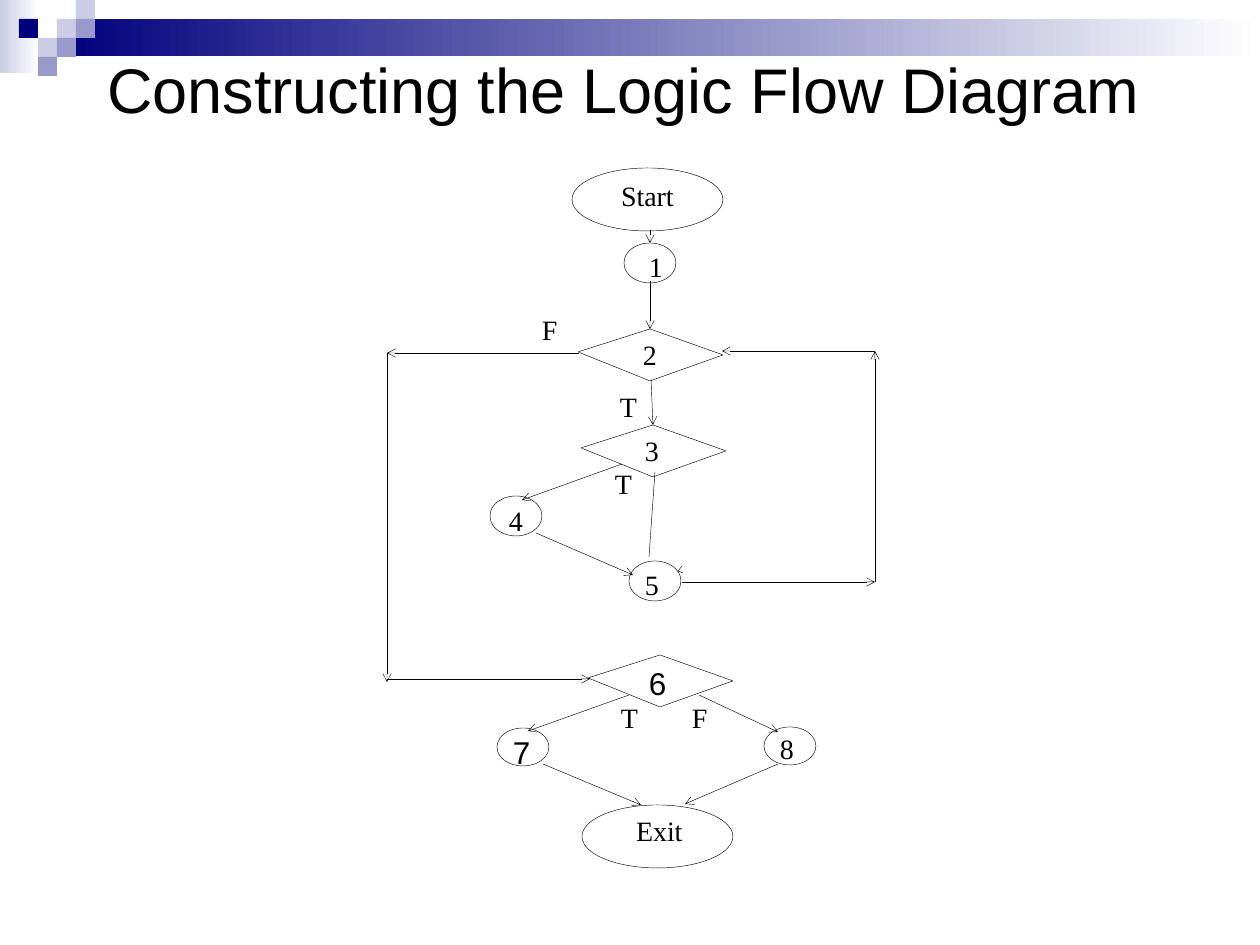
from pptx import Presentation
from pptx.dml.color import RGBColor as RGB
from pptx.enum.shapes import MSO_CONNECTOR as Conn, MSO_SHAPE as Shape
from pptx.enum.text import MSO_ANCHOR as Anchor, MSO_AUTO_SIZE as Fit, PP_ALIGN as Align
from pptx.oxml.ns import qn
from pptx.util import Emu, Pt
from lxml.etree import SubElement as Sub


class Theme:
    ink, paper = RGB(0, 0, 0), RGB(255, 255, 255)
    navy, mid, pale = RGB(0, 0, 0x7D), RGB(0x99, 0x99, 0xCC), RGB(0xCC, 0xCC, 0xE6)
    sans, serif = "Arial", "Times New Roman"
    title, large, small, hair = Pt(36), Pt(18), Pt(16), Pt(0.25)


# Content, in px (126 to the inch)
TITLE = "Constructing the Logic Flow Diagram"
FADES = [(0, 0, 39, 73, Theme.pale), (57, 19, 1203, 37, Theme.navy)]
TILE = 19
TILES = [  # column, row, colour
    (3, 1, Theme.pale), (4, 0, Theme.pale), (4, 1, Theme.mid), (2, 2, Theme.pale),
    (1, 1, Theme.navy), (3, 2, Theme.mid), (2, 3, Theme.mid),
]
OVALS = [  # left, top, width, height
    (572, 168, 151, 63), (624, 243, 52, 40), (490, 496, 52, 40), (629, 561, 52, 40),
    (497, 728, 52, 38), (764, 727, 52, 38), (582, 805, 151, 63),
]
TESTS = [(578, 329), (581, 425), (588, 655)]  # left, top of each decision
KITE = [(72, 0), (0, 23), (72, 52), (145, 26)]
ARROWS = [  # from, to
    (650, 230, 650, 243), (650, 281, 650, 329),              # start, 1, 2
    (651, 379, 653, 425),                                    # 2 to 3
    (682, 582, 875, 582), (875, 582, 875, 351), (875, 351, 722, 351),  # 5 back to 2
    (622, 464, 522, 500), (536, 533, 633, 575),              # 3, 4, 5
    (629, 695, 528, 731), (699, 695, 778, 732),              # 6 to 7 and 8
    (543, 764, 641, 805), (778, 764, 685, 804),              # 7 and 8 to exit
    (579, 353, 387, 353), (387, 353, 387, 682), (387, 679, 590, 679),  # 2 to 6
]
PLAIN = [(655, 472, 649, 557)]                               # 3 to 5
TIP = [(683, 573), (678, 571), (682, 566)]                   # loose tip beside 5
SERIF_TEXT = [
    ("Start", 621, 179), ("1", 649, 249), ("2", 643, 338), ("3", 645, 434),
    ("4", 509, 504), ("5", 645, 568), ("8", 780, 732), ("Exit", 636, 814),
    ("F", 542, 312), ("T", 615, 467), ("T", 621, 701), ("F", 692, 701), ("T", 620, 390),
]
SANS_TEXT = [("6", 649, 664), ("7", 513, 733)]


def px(n):
    return Emu(round(n * 914400 / 126))


def write(frame, text, font, size):
    run = frame.paragraphs[0].add_run()
    run.text = text
    run.font.name, run.font.size = font, size
    run.font.color.rgb = Theme.ink


def block(kind, *box):
    part = shapes.add_shape(kind, *map(px, box))
    part.shadow.inherit = False
    return part


def outline(part):
    part.shadow.inherit = False
    part.fill.solid()
    part.fill.fore_color.rgb = Theme.paper
    part.line.color.rgb = Theme.ink
    part.line.width = Theme.hair


def path(points, close=True):
    pen = shapes.build_freeform(px(points[0][0]), px(points[0][1]))
    pen.add_line_segments([(px(x), px(y)) for x, y in points[1:]], close=close)
    part = pen.convert_to_shape()
    outline(part)
    return part


def link(ends, head):
    wire = shapes.add_connector(Conn.STRAIGHT, *map(px, ends))
    wire.line.color.rgb = Theme.ink
    wire.line.width = Theme.hair
    if head:
        Sub(wire.line._get_or_add_ln(), qn("a:tailEnd"), type="arrow", w="sm", len="sm")
    Sub(wire._element.spPr, qn("a:effectLst"))


def label(text, left, top, font, size):
    box = shapes.add_textbox(px(left), px(top), px(14 * len(text)), px(34))
    frame = box.text_frame
    frame.margin_left = frame.margin_right = frame.margin_top = frame.margin_bottom = 0
    frame.word_wrap = False
    frame.auto_size = Fit.SHAPE_TO_FIT_TEXT
    frame.paragraphs[0].alignment = Align.LEFT
    write(frame, text, font, size)


deck = Presentation()
deck.slide_width, deck.slide_height = px(1260), px(945)
slide = deck.slides.add_slide(deck.slide_layouts[5])
shapes = slide.shapes

# Title
head = shapes.title
head.left, head.top, head.width, head.height = map(px, (88, 10, 1071, 157))
head.text_frame.vertical_anchor = Anchor.MIDDLE
head.text_frame.paragraphs[0].alignment = Align.CENTER
write(head.text_frame, TITLE, Theme.sans, Theme.title)

# Banner
for *box, tint in FADES:
    fade = block(Shape.RECTANGLE, *box)
    fade.fill.gradient()
    fade.fill.gradient_angle = 0
    for stop, shade in zip(fade.fill.gradient_stops, (tint, Theme.paper)):
        stop.color.rgb = shade
    fade.line.fill.background()
for col, row, tint in TILES:
    tile = block(Shape.RECTANGLE, col * TILE, row * TILE, TILE, TILE)
    tile.fill.solid()
    tile.fill.fore_color.rgb = tint
    tile.line.fill.background()

# Nodes
for box in OVALS:
    outline(block(Shape.OVAL, *box))
for left, top in TESTS:
    path([(left + x, top + y) for x, y in KITE])

# Flow lines
for ends in ARROWS:
    link(ends, True)
for ends in PLAIN:
    link(ends, False)
path(TIP, close=False).fill.background()

# Labels
for text, left, top in SERIF_TEXT:
    label(text, left, top, Theme.serif, Theme.small)
for text, left, top in SANS_TEXT:
    label(text, left, top, Theme.sans, Theme.large)

deck.save("out.pptx")
